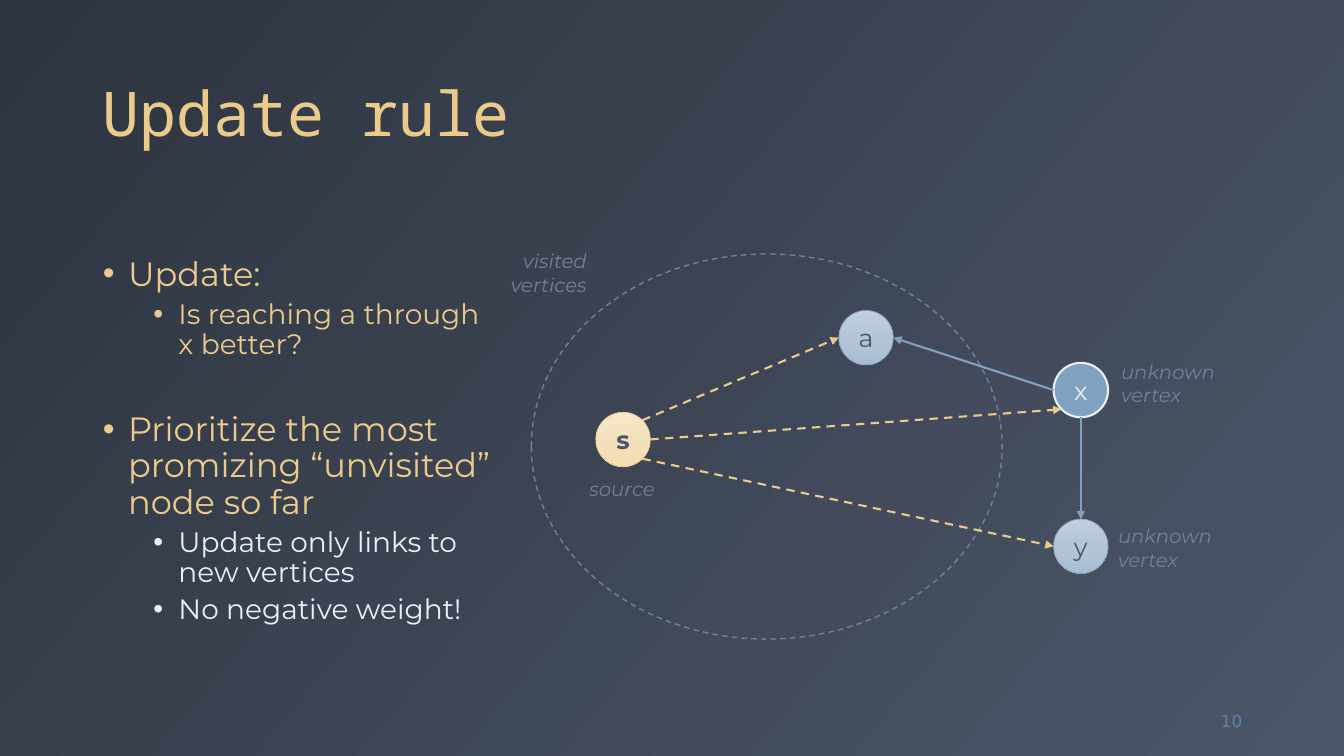
from copy import deepcopy
from dataclasses import dataclass
from math import cos, radians, sin

from lxml import etree
from pptx import Presentation
from pptx.dml.color import RGBColor
from pptx.enum.dml import MSO_LINE
from pptx.enum.shapes import MSO_CONNECTOR, MSO_SHAPE
from pptx.enum.text import MSO_ANCHOR, MSO_AUTO_SIZE, PP_ALIGN
from pptx.oxml.ns import qn
from pptx.util import Inches, Pt

OVAL = MSO_SHAPE.OVAL
STRAIGHT = MSO_CONNECTOR.STRAIGHT
DASH = MSO_LINE.DASH
LEFT, CENTER, RIGHT = PP_ALIGN.LEFT, PP_ALIGN.CENTER, PP_ALIGN.RIGHT
TOP, MIDDLE, BOTTOM = MSO_ANCHOR.TOP, MSO_ANCHOR.MIDDLE, MSO_ANCHOR.BOTTOM
NO_FIT, GROW = MSO_AUTO_SIZE.NONE, MSO_AUTO_SIZE.SHAPE_TO_FIT_TEXT

NODE_SIZE = 0.54


@dataclass(frozen=True)
class Theme:
    background: tuple = ("2E3440", "4C5669")
    source_fill: tuple = ("F7E7CB", "F3E0BC", "F4DDB1")
    vertex_fill: tuple = ("C1CFDF", "B4C5D8", "A8BDD5")
    sand: str = "EBCB8B"
    blue: str = "81A1C1"
    number: str = "5E81AC"
    muted: str = "73809B"
    dark: str = "4C5669"
    light: str = "ECEFF3"
    text_font: str = "Montserrat"
    title_font: str = "Noto Sans Mono"
    number_font: str = "DejaVu Sans"
    title_size: int = 44
    item_size: int = 24
    subitem_size: int = 20
    node_size: int = 18
    label_size: int = 14
    number_size: int = 12


THEME = Theme()


@dataclass(frozen=True)
class Node:
    name: str
    x: float
    y: float
    fill: tuple
    line: str
    line_width: float = 0.5
    color: str = THEME.dark
    bold: bool = False

    def edge(self, angle: float) -> tuple:
        radius = NODE_SIZE / 2
        return (self.x + radius * cos(radians(angle)),
                self.y + radius * sin(radians(angle)))


@dataclass(frozen=True)
class Link:
    start: Node
    start_angle: float
    end: Node
    end_angle: float
    color: str = THEME.blue
    dashed: bool = False


@dataclass(frozen=True)
class Label:
    lines: tuple
    box: tuple
    align: PP_ALIGN
    size: int = THEME.label_size
    color: str = THEME.muted
    font: str = THEME.text_font
    italic: bool = True
    anchor: MSO_ANCHOR = TOP


@dataclass(frozen=True)
class Item:
    text: str
    level: int = 0
    space_before: int = 5
    color: str = THEME.sand


SOURCE = Node("s", 6.18, 4.36, THEME.source_fill, THEME.sand, bold=True)
A = Node("a", 8.59, 3.35, THEME.vertex_fill, THEME.blue)
X = Node("x", 10.72, 3.87, (THEME.blue,), THEME.light, 1.5, THEME.light)
Y = Node("y", 10.72, 5.42, THEME.vertex_fill, THEME.blue)
NODES = (SOURCE, A, X, Y)

LINKS = (
    Link(SOURCE, -45, A, 180, THEME.sand, True),
    Link(X, 180, A, 0),
    Link(X, 90, Y, -90),
    Link(SOURCE, 0, X, 135, THEME.sand, True),
    Link(SOURCE, 45, Y, 180, THEME.sand, True),
)

LABELS = (
    Label(("visited", "vertices"), (4.96, 2.42, 0.96, 0.57), RIGHT),
    Label(("source",), (5.74, 4.68, 0.86, 0.34), CENTER),
    Label(("unknown", "vertex"), (11.02, 3.52, 1.19, 0.57), LEFT),
    Label(("unknown", "vertex"), (10.99, 5.15, 1.19, 0.57), LEFT),
    Label(("10",), (11.59, 6.95, 0.83, 0.4), RIGHT, THEME.number_size,
          THEME.number, THEME.number_font, False, MIDDLE),
)

ITEMS = (
    Item("Update:", space_before=0),
    Item("Is reaching a through x better?", 1),
    Item("Prioritize the most promizing “unvisited” node so far", space_before=37),
    Item("Update only links to new vertices", 1, color=THEME.light),
    Item("No negative weight!", 1, color=THEME.light),
)


def assign(target, **values) -> None:
    for name, value in values.items():
        setattr(target, name, value)


def place(shape, box: tuple) -> None:
    assign(shape, **dict(zip(("left", "top", "width", "height"), map(Inches, box))))


def write(paragraph, text: str, color: str, size: int,
          font: str = THEME.text_font, **style) -> None:
    run = paragraph.add_run()
    run.text = text
    assign(run.font, name=font, size=Pt(size), **style)
    run.font.color.rgb = RGBColor.from_string(color)


def draw_line(line, color: str, width: float, dashed: bool = False) -> None:
    line.color.rgb = RGBColor.from_string(color)
    line.width = Pt(width)
    if dashed:
        line.dash_style = DASH


def paint(fill, element, colors: tuple, angle: float = 90) -> None:
    if len(colors) == 1:
        fill.solid()
        fill.fore_color.rgb = RGBColor.from_string(colors[0])
        return
    fill.gradient()
    fill.gradient_angle = 360 - angle
    stop_list = next(element.iter(qn("a:gsLst")))
    while len(stop_list) < len(colors):
        stop_list.append(deepcopy(stop_list[0]))
    for index, (stop, color) in enumerate(zip(fill.gradient_stops, colors)):
        stop.position = index / (len(colors) - 1)
        stop.color.rgb = RGBColor.from_string(color)


def add_node(slide, node: Node) -> None:
    radius = NODE_SIZE / 2
    box = (node.x - radius, node.y - radius, NODE_SIZE, NODE_SIZE)
    shape = slide.shapes.add_shape(OVAL, *map(Inches, box))
    shape.shadow.inherit = False
    paint(shape.fill, shape._element, node.fill)
    draw_line(shape.line, node.line, node.line_width)
    shape.text_frame.vertical_anchor = MIDDLE
    paragraph = shape.text_frame.paragraphs[0]
    paragraph.alignment = CENTER
    write(paragraph, node.name, node.color, THEME.node_size, bold=node.bold)


def add_visited_area(slide) -> None:
    area = slide.shapes.add_shape(OVAL, *map(Inches, (5.27, 2.52, 4.67, 3.82)))
    area.shadow.inherit = False
    area.fill.background()
    draw_line(area.line, THEME.muted, 1, True)


def add_link(slide, link: Link) -> None:
    ends = link.start.edge(link.start_angle) + link.end.edge(link.end_angle)
    connector = slide.shapes.add_connector(STRAIGHT, *map(Inches, ends))
    draw_line(connector.line, link.color, 1.5, link.dashed)
    etree.SubElement(connector.line._get_or_add_ln(), qn("a:tailEnd"), type="triangle")
    etree.SubElement(connector._element.spPr, qn("a:effectLst"))


def add_label(slide, label: Label) -> None:
    frame = slide.shapes.add_textbox(*map(Inches, label.box)).text_frame
    assign(frame, word_wrap=False, auto_size=GROW, vertical_anchor=label.anchor)
    for index, line in enumerate(label.lines):
        paragraph = frame.add_paragraph() if index else frame.paragraphs[0]
        paragraph.alignment = label.align
        write(paragraph, line, label.color, label.size, label.font, italic=label.italic)


def fill_title(title) -> None:
    place(title, (0.92, 0.18, 11.5, 1.36))
    assign(title.text_frame, vertical_anchor=BOTTOM, auto_size=NO_FIT, word_wrap=True)
    paragraph = title.text_frame.paragraphs[0]
    assign(paragraph, alignment=LEFT, line_spacing=0.9)
    write(paragraph, "Update rule", THEME.sand, THEME.title_size, THEME.title_font)


def fill_body(body) -> None:
    place(body, (0.92, 2, 4.06, 4.76))
    frame = body.text_frame
    assign(frame, vertical_anchor=MIDDLE, auto_size=NO_FIT, word_wrap=True)
    for index, item in enumerate(ITEMS):
        paragraph = frame.add_paragraph() if index else frame.paragraphs[0]
        properties = paragraph._p.get_or_add_pPr()
        properties.set("marL", str(Inches(0.25 + 0.5 * item.level)))
        properties.set("indent", str(Inches(-0.25)))
        etree.SubElement(properties, qn("a:buFont"), typeface="Arial")
        etree.SubElement(properties, qn("a:buChar"), char="•")
        assign(paragraph, level=item.level, alignment=LEFT, line_spacing=0.9,
               space_before=Pt(item.space_before))
        size = THEME.subitem_size if item.level else THEME.item_size
        write(paragraph, item.text, item.color, size)


def main() -> None:
    presentation = Presentation()
    assign(presentation, slide_width=Inches(13.33), slide_height=Inches(7.5))
    slide = presentation.slides.add_slide(presentation.slide_layouts[1])
    paint(slide.background.fill, slide._element, THEME.background, 40)
    fill_title(slide.shapes.title)
    fill_body(slide.placeholders[1])
    add_visited_area(slide)
    for add, elements in ((add_node, NODES), (add_label, LABELS), (add_link, LINKS)):
        for element in elements:
            add(slide, element)
    presentation.save("out.pptx")


if __name__ == "__main__":
    main()
